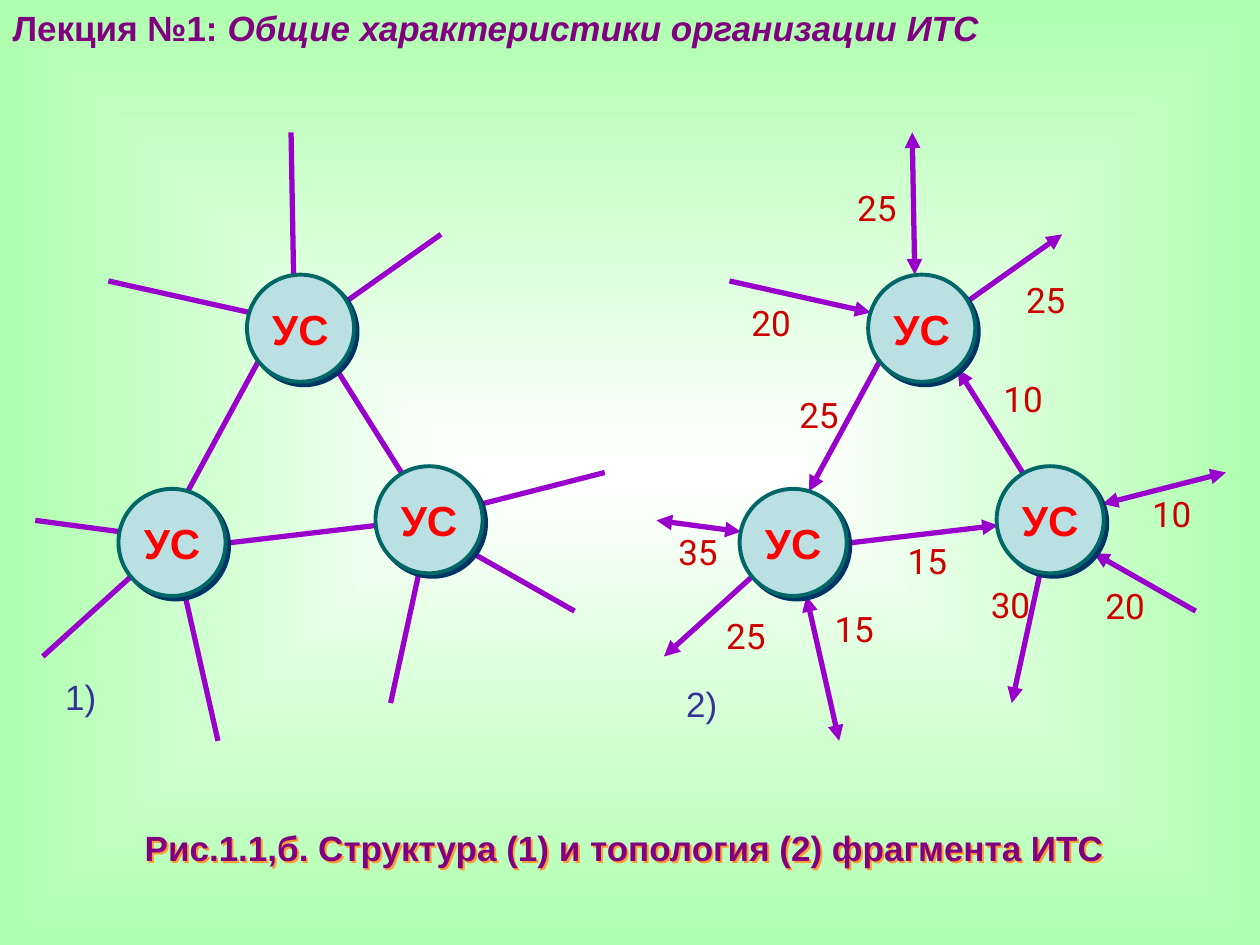
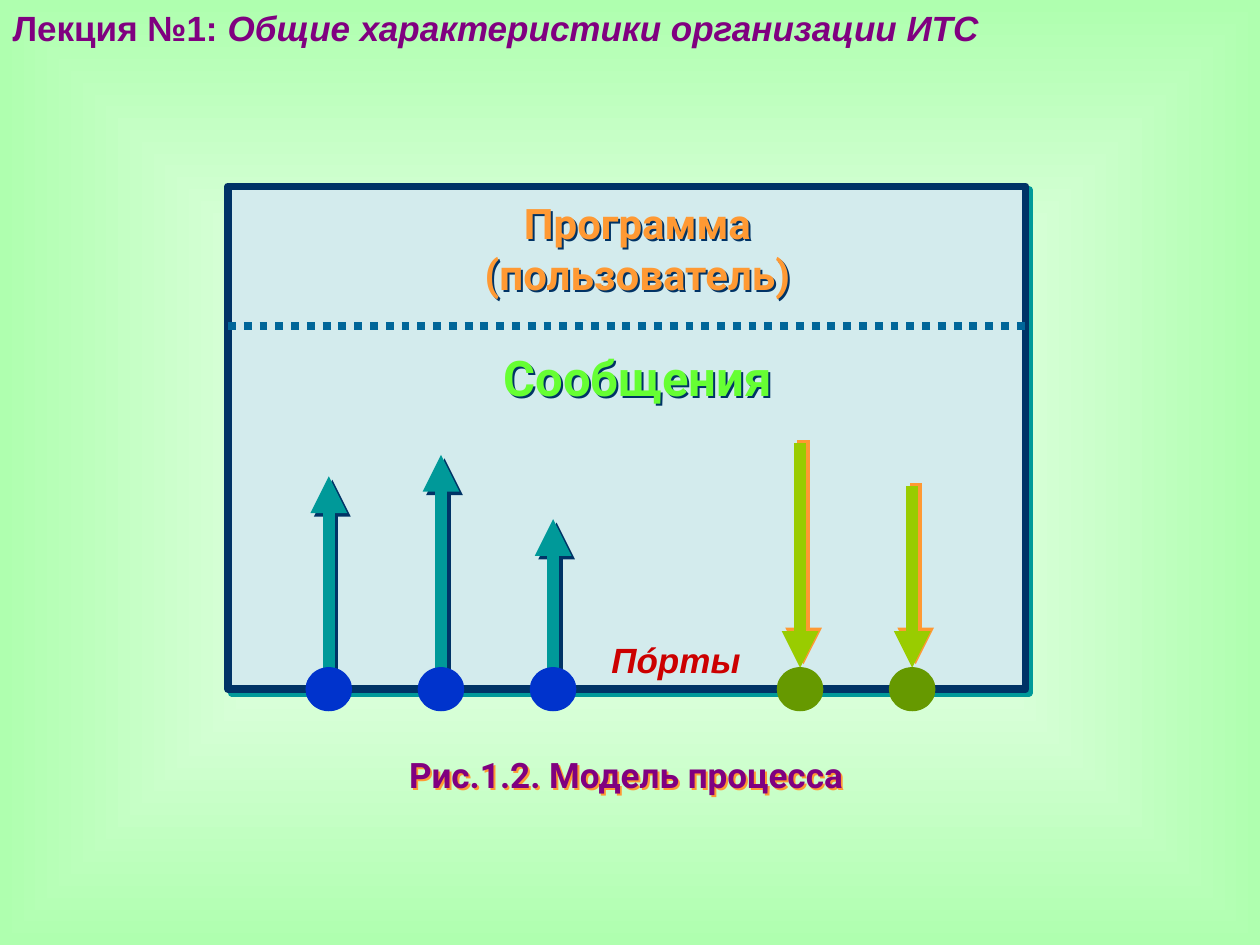
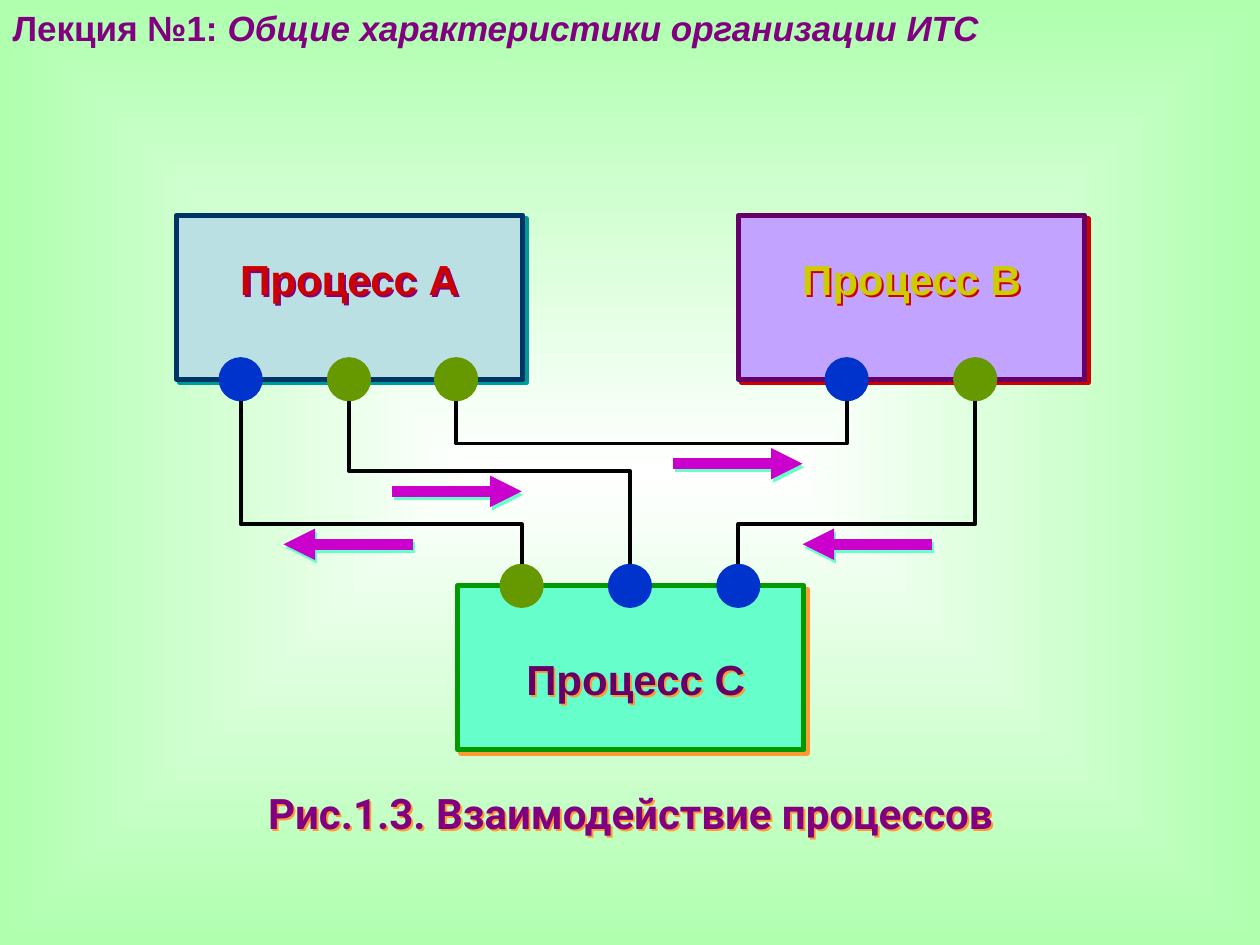
import pptx
import pptx.dml.color
import pptx.enum.dml
import pptx.enum.shapes
import pptx.enum.text
import pptx.oxml.ns
import pptx.util
from lxml import etree

RGB = pptx.dml.color.RGBColor
SHAPE = pptx.enum.shapes.MSO_SHAPE
ALIGN = pptx.enum.text.PP_ALIGN
qn = pptx.oxml.ns.qn

PX = 9144  # one px is a hundredth of an inch

WHITE = RGB(0xFF, 0xFF, 0xFF)
BLACK = RGB(0x00, 0x00, 0x00)
MINT = RGB(0xAF, 0xFF, 0xAF)
PURPLE = RGB(0x80, 0x00, 0x80)
VIOLET = RGB(0x99, 0x00, 0xCC)
MAGENTA = RGB(0xCC, 0x00, 0xCC)
PLUM = RGB(0x66, 0x00, 0x66)
LILAC = RGB(0xC2, 0xA3, 0xFF)
INDIGO = RGB(0x33, 0x33, 0x99)
NAVY = RGB(0x00, 0x33, 0x66)
BLUE = RGB(0x00, 0x33, 0xCC)
STEEL = RGB(0x00, 0x66, 0x99)
PALE_BLUE = RGB(0xBB, 0xE0, 0xE3)
PALER_BLUE = RGB(0xD3, 0xEB, 0xED)
DARK_TEAL = RGB(0x00, 0x66, 0x66)
TEAL = RGB(0x00, 0x99, 0x99)
AQUA = RGB(0x66, 0xFF, 0xCC)
GREEN = RGB(0x00, 0x99, 0x00)
OLIVE = RGB(0x66, 0x99, 0x00)
LIME = RGB(0x99, 0xCC, 0x00)
BRIGHT_GREEN = RGB(0x66, 0xFF, 0x33)
MUSTARD = RGB(0xCC, 0xCC, 0x00)
ORANGE = RGB(0xFF, 0x99, 0x33)
RED = RGB(0xFF, 0x00, 0x00)
CRIMSON = RGB(0xCC, 0x00, 0x00)

# Channels between nodes: start, end, two-way, load, load centre and top
CHANNELS = [
    ((204, 0), (206, 113), True, "25", (176, 43)),
    ((301, 285), (240, 188), False, "10", (292, 195)),
    ((185, 169), (122, 285), False, "25", (130, 207)),
    ((145, 327), (272, 312), False, "15", (216, 323)),
    ((92, 339), (7, 416), False, "25", (72, 383)),
    ((453, 270), (355, 295), True, "10", (410, 286)),
    ((308, 338), (283, 453), False, "30", (282, 358)),
    ((1, 308), (68, 317), True, "35", (34, 316)),
    ((59, 118), (171, 143), False, "20", (92, 134)),
    ((234, 144), (323, 81), False, "25", (310, 116)),
    ((429, 380), (348, 334), False, "20", (373, 359)),
    ((120, 368), (146, 483), True, "15", (158, 377)),
]
NODES = [(271, 265), (67, 283), (169, 113)]
NODE_SIZE = 85
PORT_HEIGHT = 34


# ---- Shared helpers ----

def set_shadow(shape, color=None, distance=2.8, angle=45):
    """Give the shape a hard shadow, or none without a colour."""
    effects = etree.SubElement(shape.element.spPr, qn("a:effectLst"))
    if color is not None:
        outer = etree.SubElement(
            effects, qn("a:outerShdw"), blurRad="0", dist=str(pptx.util.Pt(distance)),
            dir=str(angle * 60000), algn="ctr", rotWithShape="0")
        etree.SubElement(outer, qn("a:srgbClr"), val=str(color))


def style_font(para, size, color, name="Arial", bold=False, italic=False):
    para.font.size = pptx.util.Pt(size)
    para.font.color.rgb = color
    para.font.name = name
    para.font.bold = bold
    para.font.italic = italic


def clear_insets(frame):
    frame.margin_left = frame.margin_top = frame.margin_right = frame.margin_bottom = 0


def add_text(page, box, lines, size, color, shadow=None, align=ALIGN.CENTER, **font):
    """Each line is a list of (text, italic) runs or a plain string."""
    label = page.shapes.add_textbox(*(value * PX for value in box))
    frame = label.text_frame
    frame.word_wrap = True
    clear_insets(frame)
    for index, line in enumerate(lines):
        para = frame.add_paragraph() if index else frame.paragraphs[0]
        para.alignment = align
        style_font(para, size, color, **font)
        if isinstance(line, str):
            para.add_run().text = line
            continue
        for words, italic in line:
            span = para.add_run()
            span.text = words
            span.font.italic = italic
    if shadow is not None:
        set_shadow(label, shadow, 1.6)
    return label


def add_shape(page, kind, box, fill, line, width, shadow=None):
    shape = page.shapes.add_shape(kind, *(value * PX for value in box))
    shape.fill.solid()
    shape.fill.fore_color.rgb = fill
    shape.line.color.rgb = line
    shape.line.width = pptx.util.Pt(width)
    set_shadow(shape, shadow)
    return shape


def add_line(page, start, end, color, width, ends=(), dash=None, shadow=()):
    """Draw a line; ends holds "headEnd" and "tailEnd" where arrowheads go."""
    line = page.shapes.add_connector(
        pptx.enum.shapes.MSO_CONNECTOR.STRAIGHT, *(value * PX for value in (*start, *end)))
    line.line.color.rgb = color
    line.line.width = pptx.util.Pt(width)
    if dash is not None:
        line.line.dash_style = dash
    for tag in ends:
        etree.SubElement(line.element.spPr.find(qn("a:ln")), qn("a:" + tag), type="triangle")
    set_shadow(line, *shadow)


def add_port(page, center, color, width):
    x, y = center
    box = (x - width // 2, y - PORT_HEIGHT // 2, width, PORT_HEIGHT)
    add_shape(page, SHAPE.OVAL, box, color, color, 0.75)


def add_caption(page, box, words, size, name):
    add_text(page, box, [words], size, PURPLE, ORANGE, name=name, bold=True)


def add_page(deck):
    """Blank page with the glowing background and the lecture title."""
    page = deck.slides.add_slide(deck.slide_layouts[6])
    fill = page.background.fill
    fill.gradient()
    for stop, color, position in zip(fill.gradient_stops, (WHITE, MINT), (0, 1)):
        stop.color.rgb = color
        stop.position = position
    gradient = page.element.find(".//" + qn("a:gradFill"))
    gradient.remove(gradient.find(qn("a:lin")))
    glow = etree.SubElement(gradient, qn("a:path"), path="shape")
    etree.SubElement(glow, qn("a:fillToRect"), l="50000", t="50000", r="50000", b="50000")

    title = [("Лекция №1: ", False), ("Общие характеристики организации ИТС", True)]
    add_text(page, (10, 5, 791, 33), [title], 20, PURPLE, align=ALIGN.LEFT, bold=True)
    return page


# ---- Slide 1: network structure and topology ----

def add_network(page, left, top, index, index_top, directed):
    def place(point):
        return left + point[0], top + point[1]

    # Channels with their loads
    for start, end, two_way, load, (center, load_top) in CHANNELS:
        ends = ()
        if directed:
            ends = ("headEnd", "tailEnd") if two_way else ("tailEnd",)
            box = (*place((center - 30, load_top)), 60, 40)
            add_text(page, box, [load], 20, CRIMSON, name="Roboto")
        add_line(page, place(start), place(end), VIOLET, 3, ends)

    # Switching nodes
    for corner in NODES:
        node = add_shape(page, SHAPE.OVAL, (*place(corner), NODE_SIZE, NODE_SIZE),
                         PALE_BLUE, DARK_TEAL, 2.25, NAVY)
        frame = node.text_frame
        frame.word_wrap = False
        clear_insets(frame)
        frame.vertical_anchor = pptx.enum.text.MSO_ANCHOR.MIDDLE
        para = frame.paragraphs[0]
        para.alignment = ALIGN.CENTER
        style_font(para, 24, RED, bold=True)
        para.add_run().text = "УС"

    add_text(page, (*place((7, index_top)), 60, 38), [index], 20, INDIGO)


def build_network_page(deck):
    page = add_page(deck)
    add_network(page, 27, 105, "1)", 431, directed=False)
    add_network(page, 520, 105, "2)", 437, directed=True)
    add_caption(page, (86, 656, 819, 33),
                "Рис.1.1,б. Структура (1) и топология (2) фрагмента ИТС", 20, "Arial")


# ---- Slide 2: process model ----

def add_process_model(page, left, top, width, height):
    bottom = top + height
    add_shape(page, SHAPE.RECTANGLE, (left, top, width, height),
              PALER_BLUE, NAVY, 4.5, TEAL)

    # Messages and their ports: first port, arrow tops, arrowhead, colours, shadow
    groups = [
        (80, (230, 213, 264), "headEnd", TEAL, BLUE, (NAVY, 2.8, 45)),
        (454, (204, 238), "tailEnd", LIME, OLIVE, (ORANGE, 2.8, 315)),
    ]
    for first, arrow_tops, head, arrow_color, port_color, shadow in groups:
        for index, arrow_top in enumerate(arrow_tops):
            x = left + first + 89 * index
            add_line(page, (x, top + arrow_top), (x, bottom - PORT_HEIGHT // 2),
                     arrow_color, 7, (head,), shadow=shadow)
            add_port(page, (x, bottom), port_color, 36)

    # Border between program and messages
    add_line(page, (left, top + 111), (left + width, top + 111), STEEL, 4.5,
             dash=pptx.enum.dml.MSO_LINE.ROUND_DOT)

    # Labels
    add_text(page, (left + 187, top + 9, 276, 93), ["Программа", "(пользователь)"],
             24, ORANGE, NAVY, name="Roboto", bold=True)
    add_text(page, (left + 187, top + 128, 276, 59), ["Сообщения"],
             28, BRIGHT_GREEN, NAVY, name="Roboto", bold=True)
    add_text(page, (left + 293, top + 359, 125, 42), ["Пóрты"],
             20, CRIMSON, bold=True, italic=True)


def build_model_page(deck):
    page = add_page(deck)
    add_process_model(page, 181, 148, 633, 399)
    add_caption(page, (252, 598, 490, 59), "Рис.1.2. Модель процесса", 20, "Roboto")


# ---- Slide 3: interaction of processes ----

def add_process(page, left, top, name, name_at, colors, ports, ports_below=True):
    """Draw a process and return the centres of its ports."""
    width, height = 275, 130
    fill, line, shadow, name_color, name_shadow = colors
    add_shape(page, SHAPE.RECTANGLE, (left, top, width, height), fill, line, 3, shadow)
    add_text(page, (left + name_at[0], top + name_at[1], width, 47), [name],
             24, name_color, name_shadow, bold=True)
    edge = top + height if ports_below else top
    centers = [(left + x, edge) for x, color in ports]
    for center, (x, color) in zip(centers, ports):
        add_port(page, center, color, 34)
    return centers


def add_link(page, start, end, lane, arrow_from, arrow_to):
    """Join two ports along a horizontal lane, with a flow arrow under it."""
    half = PORT_HEIGHT // 2
    (start_x, start_y), (end_x, end_y) = start, end
    leave = start_y + half if lane > start_y else start_y - half
    arrive = end_y + half if lane > end_y else end_y - half
    builder = page.shapes.build_freeform(start_x, leave, scale=PX)
    builder.add_line_segments(
        [(start_x, lane), (end_x, lane), (end_x, arrive)], close=False)
    link = builder.convert_to_shape()
    link.fill.background()
    link.line.color.rgb = BLACK
    link.line.width = pptx.util.Pt(2.25)
    set_shadow(link)
    add_line(page, (arrow_from, lane + 16), (arrow_to, lane + 16), MAGENTA, 6,
             ("tailEnd",), shadow=(AQUA, 2.2, 63))


def build_interaction_page(deck):
    page = add_page(deck)
    a_ports = add_process(page, 140, 171, "Процесс А", (0, 30),
                          (PALE_BLUE, NAVY, TEAL, CRIMSON, PURPLE),
                          [(51, BLUE), (137, OLIVE), (222, OLIVE)])
    b_ports = add_process(page, 586, 171, "Процесс В", (0, 30),
                          (LILAC, PLUM, CRIMSON, MUSTARD, CRIMSON),
                          [(86, BLUE), (188, OLIVE)])
    c_ports = add_process(page, 363, 465, "Процесс С", (4, 54),
                          (AQUA, GREEN, ORANGE, PLUM, ORANGE),
                          [(51, OLIVE), (137, BLUE), (223, BLUE)], ports_below=False)

    add_link(page, a_ports[2], b_ports[0], 352, 534, 637)
    add_link(page, a_ports[1], c_ports[1], 374, 311, 414)
    add_link(page, c_ports[0], a_ports[0], 416, 328, 225)
    add_link(page, b_ports[1], c_ports[2], 416, 740, 637)
    add_caption(page, (143, 625, 715, 47), "Рис.1.3. Взаимодействие процессов", 24, "Roboto")


def main():
    deck = pptx.Presentation()
    deck.slide_width = 1000 * PX
    deck.slide_height = 750 * PX
    build_network_page(deck)
    build_model_page(deck)
    build_interaction_page(deck)
    deck.save("out.pptx")


if __name__ == "__main__":
    main()
